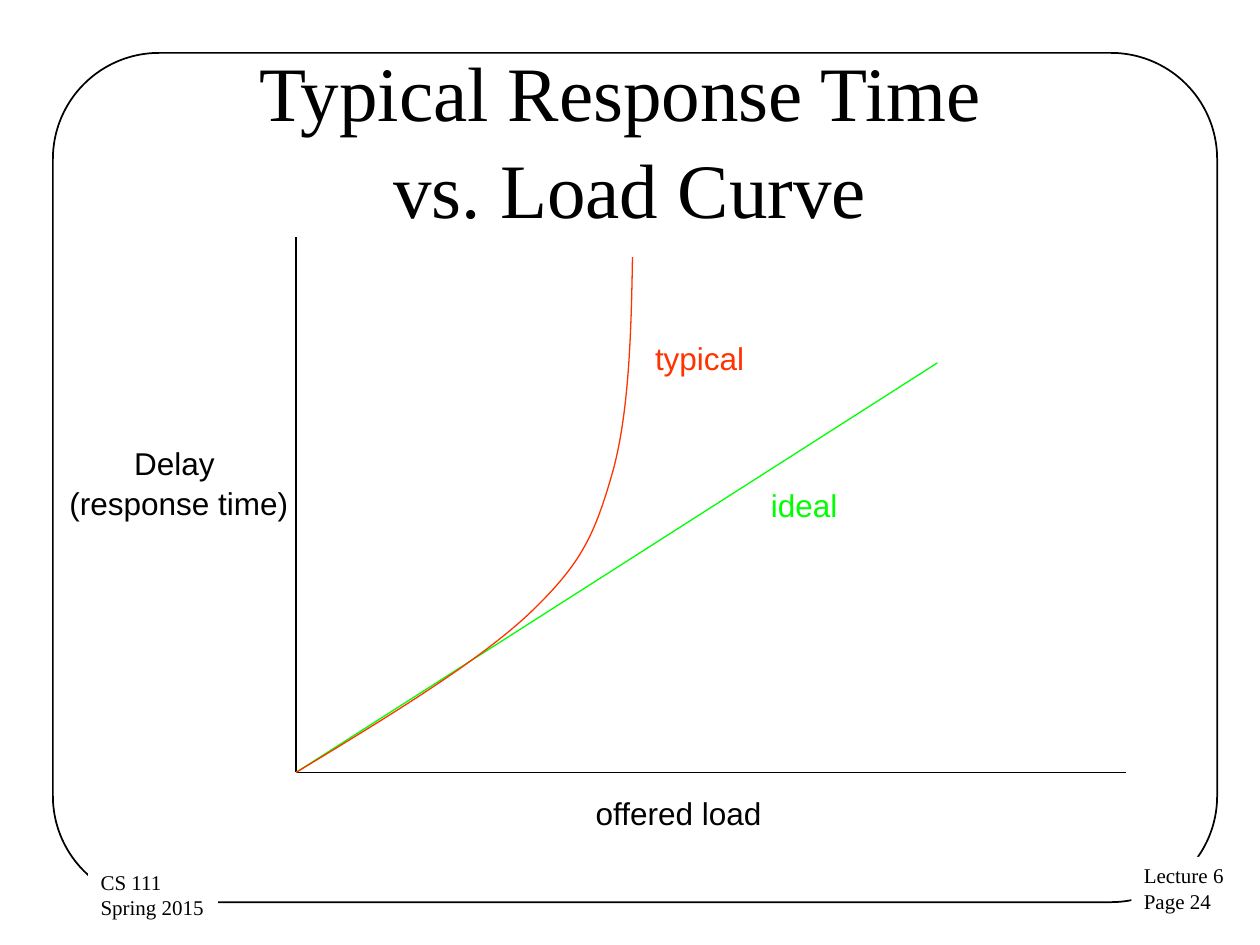
import pptx
import pptx.util
from lxml import etree
from pptx.dml.color import RGBColor
from pptx.enum.shapes import MSO_CONNECTOR, MSO_SHAPE
from pptx.enum.text import MSO_ANCHOR, MSO_AUTO_SIZE, PP_ALIGN
from pptx.oxml.ns import qn
from pptx.util import Inches, Pt

COLORS = {"ink": "000000", "paper": "FFFFFF", "ideal": "00FF00", "typical": "FF3300"}


def color(name):
    return RGBColor.from_string(COLORS[name])


def style_line(line, name, width):
    line.color.rgb = color(name)
    line.width = Pt(width)


def style_text(frame, font, size, name, align, spacing=1.0):
    for para in frame.paragraphs:
        para.alignment = align
        para.line_spacing = spacing
        for span in para.runs:
            span.font.name = font
            span.font.size = Pt(size)
            span.font.color.rgb = color(name)


def add_label(page, text, box, name="ink", font="Arial", size=18,
              align=PP_ALIGN.LEFT, spacing=1.05):
    label = page.shapes.add_textbox(*map(Inches, box))
    frame = label.text_frame
    frame.word_wrap = False
    frame.auto_size = MSO_AUTO_SIZE.SHAPE_TO_FIT_TEXT
    frame.text = text
    style_text(frame, font, size, name, align, spacing)
    return label


def add_line(page, start, end, name):
    line = page.shapes.add_connector(
        MSO_CONNECTOR.STRAIGHT, *map(Inches, start + end))
    style_line(line.line, name, 0.75)
    etree.SubElement(line._element.spPr, qn("a:effectLst"))


def add_curve(page, points, name):
    """Draw cubic segments: a start point, then three points per segment."""
    scaled = [(Inches(x), Inches(y)) for x, y in points]
    builder = page.shapes.build_freeform(*scaled[0])
    builder.add_line_segments(scaled[1:], close=False)
    curve = builder.convert_to_shape()
    curve.shadow.inherit = False
    curve.fill.background()
    style_line(curve.line, name, 0.75)
    # Merge every three straight steps into one cubic step
    outline = next(curve._element.iter(qn("a:path")))
    steps = outline.findall(qn("a:lnTo"))
    for first in range(0, len(steps), 3):
        cubic = etree.SubElement(outline, qn("a:cubicBezTo"))
        for step in steps[first:first + 3]:
            cubic.append(step[0])
            outline.remove(step)


def add_frame(page, box):
    left, top, width, height = box
    border = page.shapes.add_shape(
        MSO_SHAPE.ROUNDED_RECTANGLE, *map(Inches, box))
    border.adjustments[0] = 0.125
    border.shadow.inherit = False
    border.fill.background()
    style_line(border.line, "ink", 1)
    # Corner notes interrupt the border
    right, bottom = left + width, top + height
    notes = [
        ("Lecture 6\nPage 24", (right - 0.68, bottom - 0.36, 0.84, 0.51)),
        ("CS 111\nSpring 2015", (left + 0.28, bottom - 0.31, 1.03, 0.51)),
    ]
    for text, place in notes:
        note = add_label(page, text, place, font="Times New Roman", size=12,
                         spacing=1.0)
        note.fill.solid()
        note.fill.fore_color.rgb = color("paper")


def add_title(page, box):
    title = page.shapes.title
    title.left, title.top, title.width, title.height = map(Inches, box)
    frame = title.text_frame
    frame.auto_size = MSO_AUTO_SIZE.NONE
    frame.vertical_anchor = MSO_ANCHOR.MIDDLE
    frame.text = "Typical Response Time \vvs. Load Curve"
    style_text(frame, "Times New Roman", 44, "ink", PP_ALIGN.CENTER, 1.05)


def add_graph(page, box):
    left, top, width, height = box
    bottom = top + height
    origin = (left, bottom)

    # Axes and their names
    add_line(page, (left, top), origin, "ink")
    add_line(page, origin, (left + width, bottom), "ink")
    add_label(page, "Delay \n(response time)", (left - 1.91, top + 1.58, 1.96, 0.71),
              align=PP_ALIGN.CENTER)
    add_label(page, "offered load", (left + 2.28, bottom + 0.11, 1.67, 0.43))

    # Ideal response
    add_line(page, origin, (left + 5.09, bottom - 3.25), "ideal")
    add_label(page, "ideal", (left + 3.67, bottom - 2.34, 0.79, 0.43), "ideal")

    # Typical response, as offsets right of and above the origin
    rises = [(0, 0), (0.71, 0.43), (1.42, 0.86), (1.84, 1.25),
             (2.25, 1.64), (2.36, 1.86), (2.5, 2.34),
             (2.64, 2.81), (2.66, 3.45), (2.67, 4.09)]
    add_curve(page, [(left + x, bottom - y) for x, y in rises], "typical")
    add_label(page, "typical", (left + 2.75, bottom - 3.5, 0.99, 0.43), "typical")


def main():
    deck = pptx.Presentation()
    deck.slide_width, deck.slide_height = Inches(10), Inches(7.5)
    page = deck.slides.add_slide(deck.slide_layouts[5])
    add_frame(page, (0.42, 0.42, 9.24, 6.74))
    add_title(page, (0.5, 0.46, 9, 1.25))
    add_graph(page, (2.35, 1.88, 6.59, 4.25))
    deck.save("out.pptx")


if __name__ == "__main__":
    main()
